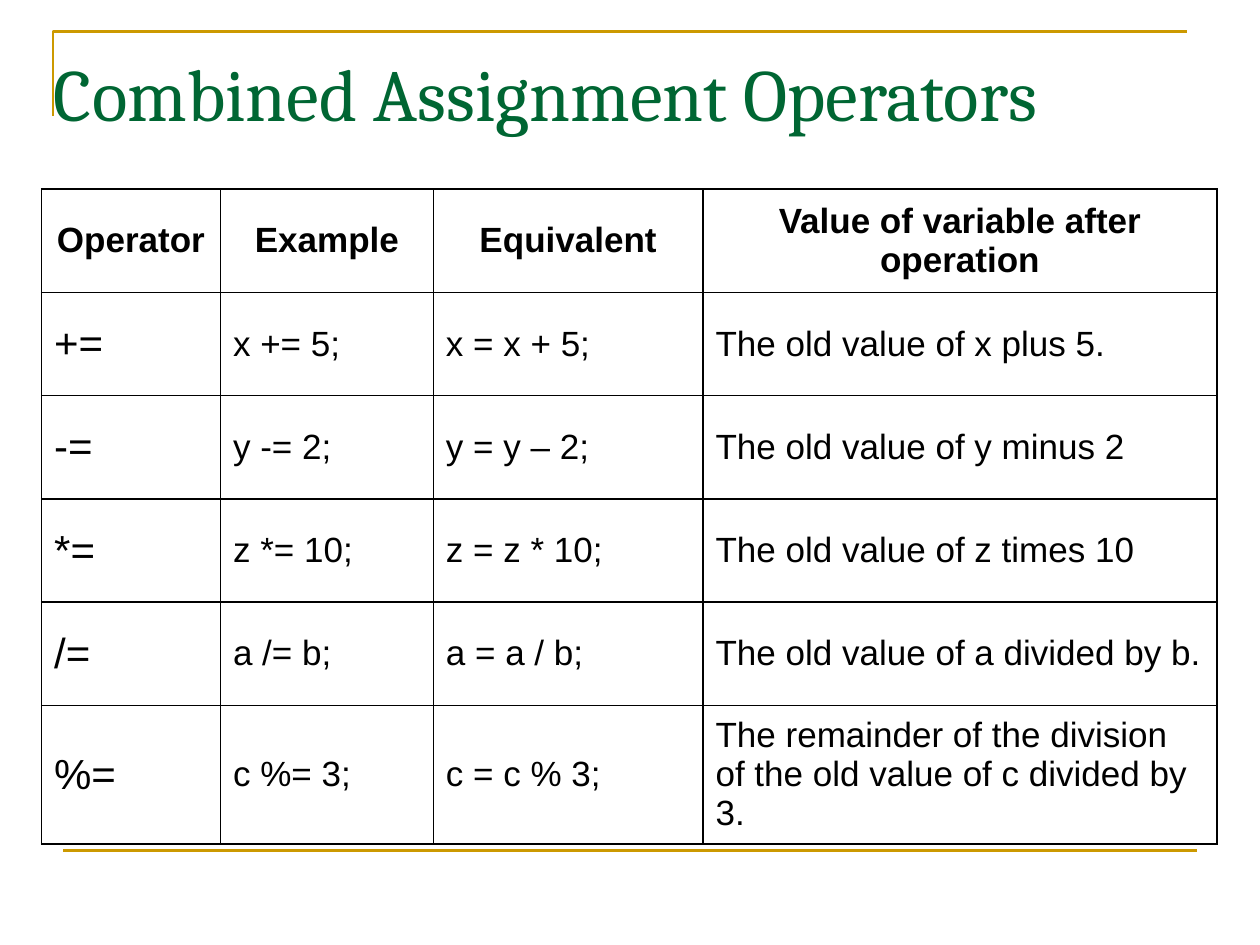
from lxml.etree import SubElement
from pptx import Presentation
from pptx.dml.color import RGBColor
from pptx.enum.shapes import MSO_CONNECTOR as Link
from pptx.enum.text import MSO_ANCHOR as Anchor, PP_ALIGN as Align
from pptx.oxml.ns import qn
from pptx.util import Inches, Pt


def color(code):
    return RGBColor.from_string(code)


class Deck:
    """Holds the style and the current slide."""

    gold, green, black = "CC9900", "006633", "000000"
    head, body = "Cambria", "Arial"

    def __init__(self):
        self.file = Presentation()
        self.file.slide_width, self.file.slide_height = Inches(10), Inches(7.5)
        self.slide = self.file.slides.add_slide(self.file.slide_layouts[6])
        self.shapes = self.slide.shapes

    def style(self, frame, font, size, code, bold=False, align=Align.LEFT):
        for para in frame.paragraphs:
            para.alignment = align
            for run in para.runs:
                run.font.name, run.font.size = font, Pt(size)
                run.font.bold = bold
                run.font.color.rgb = color(code)

    def stroke(self, shape):
        shape.line.color.rgb = color(self.gold)
        shape.line.width = Pt(1.5)

    def angle(self, *points):
        first, *rest = [(Inches(x), Inches(y)) for x, y in points]
        pen = self.shapes.build_freeform(*first)
        pen.add_line_segments(rest, close=False)
        shape = pen.convert_to_shape()
        shape.shadow.inherit = False
        shape.fill.background()
        self.stroke(shape)

    def rule(self, x, y, end):
        line = self.shapes.add_connector(
            Link.STRAIGHT, Inches(x), Inches(y), Inches(end), Inches(y))
        self.stroke(line)
        SubElement(line._element.spPr, qn("a:effectLst"))

    def title(self, text, x, y, w, h):
        box = self.shapes.add_textbox(Inches(x), Inches(y), Inches(w), Inches(h))
        frame = box.text_frame
        frame.word_wrap = True
        frame.vertical_anchor = Anchor.TOP
        frame.text = text
        self.style(frame, self.head, 42, self.green)

    def border(self, cell):
        props = cell._tc.get_or_add_tcPr()
        for spot, side in enumerate(("a:lnL", "a:lnR", "a:lnT", "a:lnB")):
            line = props.makeelement(qn(side), {"w": str(Pt(1))})
            fill = SubElement(line, qn("a:solidFill"))
            SubElement(fill, qn("a:srgbClr"), val=self.black)
            props.insert(spot, line)

    def table(self, data, x, y, widths, heights):
        grid = self.shapes.add_table(
            len(data), len(widths), Inches(x), Inches(y),
            Inches(sum(widths)), Inches(sum(heights))).table
        grid.first_row = grid.horz_banding = False
        for col, width in zip(grid.columns, widths):
            col.width = Inches(width)
        for row, height in zip(grid.rows, heights):
            row.height = Inches(height)
        for i, texts in enumerate(data):
            for j, text in enumerate(texts):
                cell = grid.cell(i, j)
                cell.text_frame.text = text
                cell.vertical_anchor = Anchor.MIDDLE
                cell.fill.background()
                self.border(cell)
                top = i == 0
                size = 24 if j == 0 and not top else 20
                self.style(cell.text_frame, self.body, size, self.black, top,
                           Align.CENTER if top else Align.LEFT)


deck = Deck()
deck.angle((0.42, 0.92), (0.42, 0.25), (9.42, 0.25))
deck.rule(0.5, 6.75, 9.5)
deck.title("Combined Assignment Operators", 0.33, 0.33, 9.42, 1.09)
deck.table([
    ("Operator", "Example", "Equivalent", "Value of variable after operation"),
    ("+=", "x += 5;", "x = x + 5;", "The old value of x plus 5."),
    ("-=", "y -= 2;", "y = y – 2;", "The old value of y minus 2"),
    ("*=", "z *= 10;", "z = z * 10;", "The old value of z times 10"),
    ("/=", "a /= b;", "a = a / b;", "The old value of a divided by b."),
    ("%=", "c %= 3;", "c = c % 3;",
     "The remainder of the division of the old value of c divided by 3."),
], 0.33, 1.5, [1.42, 1.69, 2.14, 4.08], [0.82] * 5 + [1.08])
deck.file.save("out.pptx")
